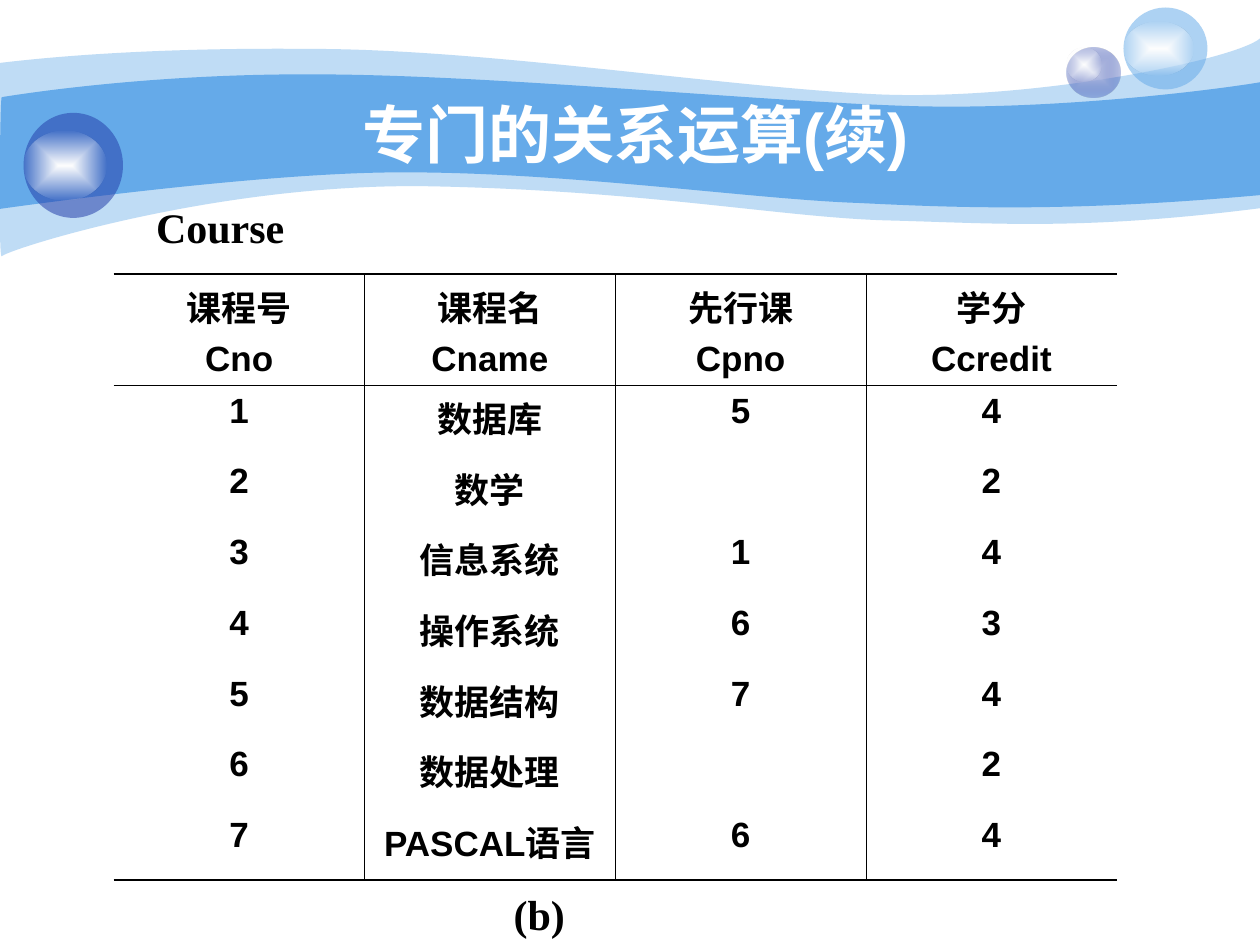
from lxml.etree import SubElement
from pptx import Presentation
from pptx.dml.color import RGBColor
from pptx.enum.shapes import MSO_SHAPE
from pptx.enum.text import MSO_ANCHOR, MSO_AUTO_SIZE, PP_ALIGN
from pptx.oxml import parse_xml
from pptx.oxml.ns import nsdecls, qn
from pptx.util import Pt

SKY, NAVY, LAVENDER, WHITE, BLACK = "65AAE9", "233DA9", "C7CEE9", "FFFFFF", "000000"

# Each band: start point, then segments; three points are a curve, one is a line.
OUTER_BAND = ((0, 36), [
    [(17, 34), (77, 27), (178, 28)],
    [(278, 28), (414, 50), (503, 54)],
    [(592, 57.5), (706, 34), (720, 22)],
    [(720, 119)],
    [(618, 132), (567, 127.5), (508, 126)],
    [(448, 124.5), (371, 109), (247, 106.5)],
    [(124, 104), (3, 143), (1, 146.5)],
    [(-1, 150), (0, 54), (0, 36)],
])
INNER_BAND = ((1, 55.5), [
    [(1.5, 55.5), (79, 42), (179, 42.5)],
    [(278, 42.5), (428, 57.5), (517, 60.5)],
    [(605.5, 63.5), (703, 50), (720, 47)],
    [(720, 111.5)],
    [(614, 121), (551, 119), (491, 116)],
    [(431, 114), (322, 98), (228, 98.5)],
    [(146, 98.5), (-1.5, 119.5), (-1, 119.5)],
    [(0, 119.5), (0, 55.5), (1, 55.5)],
])

COURSES = [
    ["课程号\nCno", "课程名\nCname", "先行课\nCpno", "学分\nCcredit"],
    ["1", "数据库", "5", "4"],
    ["2", "数学", "", "2"],
    ["3", "信息系统", "1", "4"],
    ["4", "操作系统", "6", "3"],
    ["5", "数据结构", "7", "4"],
    ["6", "数据处理", "", "2"],
    ["7", "PASCAL语言", "6", "4"],
]


def rgb(color):
    return RGBColor.from_string(color)


def bend(shape, segments):
    """Turn the straight steps of each three-point segment into one Bezier curve."""
    steps = iter(list(shape.element.spPr.iter(qn("a:lnTo"))))
    for segment in segments:
        first, *others = [next(steps) for _ in segment]
        if others:
            first.tag = qn("a:cubicBezTo")
            for step in others:
                first.append(step[0])
                step.getparent().remove(step)


class SlideBuilder:
    def __init__(self, page, font="Arial", label_font="Times New Roman"):
        self.page = page
        self.font = font
        self.label_font = label_font

    def style_text(self, frame, size, color, font, align=None):
        for para in frame.paragraphs:
            para.alignment = align
            for span in para.runs:
                span.font.size = Pt(size)
                span.font.name = font
                span.font.bold = True
                span.font.color.rgb = rgb(color)

    def plain_fill(self, shape, color, opacity):
        shape.shadow.inherit = False
        shape.line.fill.background()
        shape.fill.solid()
        shape.fill.fore_color.rgb = rgb(color)
        if opacity < 100:
            srgb = shape.element.spPr.find(".//" + qn("a:srgbClr"))
            SubElement(srgb, qn("a:alpha"), val=str(opacity * 1000))

    def band(self, start, segments, color, opacity=100):
        builder = self.page.shapes.build_freeform(Pt(start[0]), Pt(start[1]), scale=1.0)
        builder.add_line_segments(
            [(Pt(x), Pt(y)) for segment in segments for x, y in segment], close=True)
        shape = builder.convert_to_shape()
        bend(shape, segments)
        self.plain_fill(shape, color, opacity)

    def ball(self, left, top, width, height, color, opacity=100):
        shape = self.page.shapes.add_shape(
            MSO_SHAPE.OVAL, Pt(left), Pt(top), Pt(width), Pt(height))
        self.plain_fill(shape, color, opacity)
        return shape

    def glow(self, left, top, width, height, center=WHITE, edge=WHITE, edge_opacity=0):
        """Ball shaded from an opaque center to a see-through edge."""
        shape = self.ball(left, top, width, height, center)
        solid = shape.element.spPr.find(qn("a:solidFill"))
        solid.getparent().replace(solid, parse_xml(
            f'<a:gradFill {nsdecls("a")} rotWithShape="1"><a:gsLst>'
            f'<a:gs pos="0"><a:srgbClr val="{center}"/></a:gs>'
            f'<a:gs pos="100000"><a:srgbClr val="{edge}">'
            f'<a:alpha val="{edge_opacity * 1000}"/></a:srgbClr></a:gs></a:gsLst>'
            '<a:path path="rect"><a:fillToRect l="50000" t="50000" r="50000" b="50000"/>'
            '</a:path></a:gradFill>'))

    def title(self, text, left, top, width, height):
        box = self.page.shapes.title
        box.left, box.top, box.width, box.height = Pt(left), Pt(top), Pt(width), Pt(height)
        box.element.getparent().append(box.element)  # in front of the bands
        frame = box.text_frame
        frame.text = text
        frame.word_wrap = True
        frame.auto_size = MSO_AUTO_SIZE.NONE
        frame.vertical_anchor = MSO_ANCHOR.MIDDLE
        self.style_text(frame, 36, WHITE, self.font, PP_ALIGN.CENTER)

    def label(self, text, left, top, width, height):
        box = self.page.shapes.add_textbox(Pt(left), Pt(top), Pt(width), Pt(height))
        frame = box.text_frame
        frame.text = text
        frame.word_wrap = False
        frame.auto_size = MSO_AUTO_SIZE.SHAPE_TO_FIT_TEXT
        self.style_text(frame, 24, BLACK, self.label_font)

    def borders(self, cell, widths):
        """Draw the sides given in widths; a width of 0 hides the side."""
        properties = cell._tc.get_or_add_tcPr()
        for side in "LRTB":
            width = widths[side]
            line = SubElement(properties, qn(f"a:ln{side}"), w=str(Pt(width)))
            if width:
                fill = SubElement(line, qn("a:solidFill"))
                SubElement(fill, qn("a:srgbClr"), val=BLACK)
            else:
                SubElement(line, qn("a:noFill"))

    def table(self, rows, left, top, column_width, header_height, row_height, thin, thick):
        last_row, last_column = len(rows) - 1, len(rows[0]) - 1
        table = self.page.shapes.add_table(
            len(rows), len(rows[0]), Pt(left), Pt(top), Pt(column_width * len(rows[0])),
            Pt(header_height + row_height * last_row)).table
        table.first_row = table.horz_banding = False
        for column in table.columns:
            column.width = Pt(column_width)
        for r, texts in enumerate(rows):
            table.rows[r].height = Pt(row_height if r else header_height)
            for c, text in enumerate(texts):
                cell = table.cell(r, c)
                cell.text_frame.text = text
                self.style_text(cell.text_frame, 20, BLACK, self.font, PP_ALIGN.CENTER)
                for para in cell.text_frame.paragraphs[1:]:
                    para.space_before = Pt(5)
                self.borders(cell, {
                    "L": thin if c > 0 else 0,
                    "R": thin if c < last_column else 0,
                    "T": {0: thick, 1: thin}.get(r, 0),
                    "B": {0: thin, last_row: thick}.get(r, 0),
                })
                cell.fill.background()


def main():
    deck = Presentation()
    deck.slide_width, deck.slide_height = Pt(720), Pt(540)
    slide = SlideBuilder(deck.slides.add_slide(deck.slide_layouts[5]))

    slide.band(*OUTER_BAND, SKY, 41)
    slide.band(*INNER_BAND, SKY)
    slide.glow(609.5, 27, 30.5, 29, LAVENDER, NAVY, 31)
    slide.glow(609.5, 27, 20, 19.5)
    slide.ball(642, 4.3, 48, 46.8, SKY, 53)
    slide.glow(642, 12.2, 40, 31)
    slide.ball(13.5, 64.5, 56.8, 60, NAVY, 53)
    slide.glow(13.5, 74.5, 47.5, 40)

    slide.title("专门的关系运算(续)", 72, 53.8, 582, 45)
    slide.table(COURSES, 65, 156.6, 143.3, 60.5, 40.4, thin=0.45, thick=1.08)
    slide.label("Course", 82.1, 111.5, 88, 36)
    slide.label("(b)", 286.4, 504, 44, 36)
    deck.save("out.pptx")


if __name__ == "__main__":
    main()
